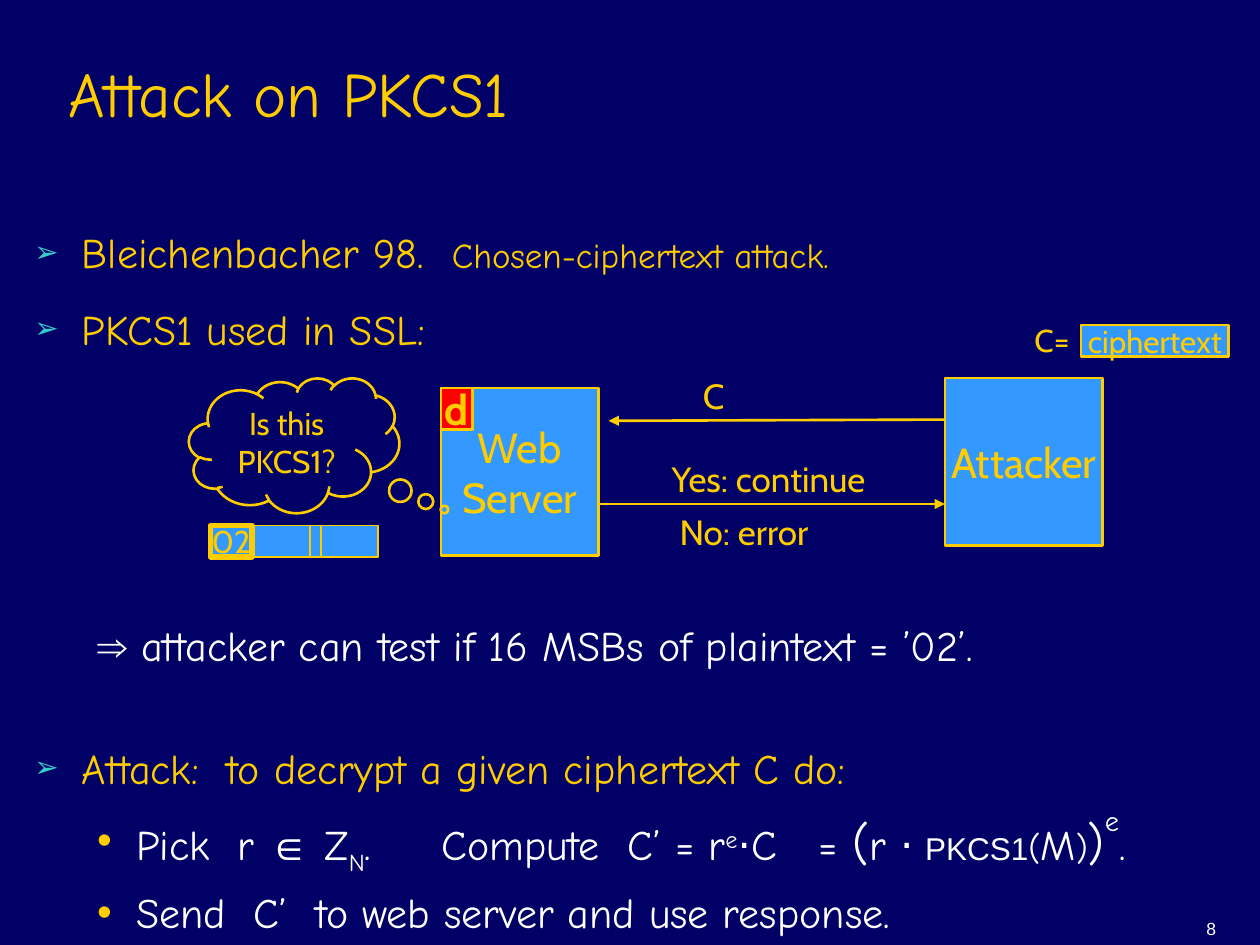
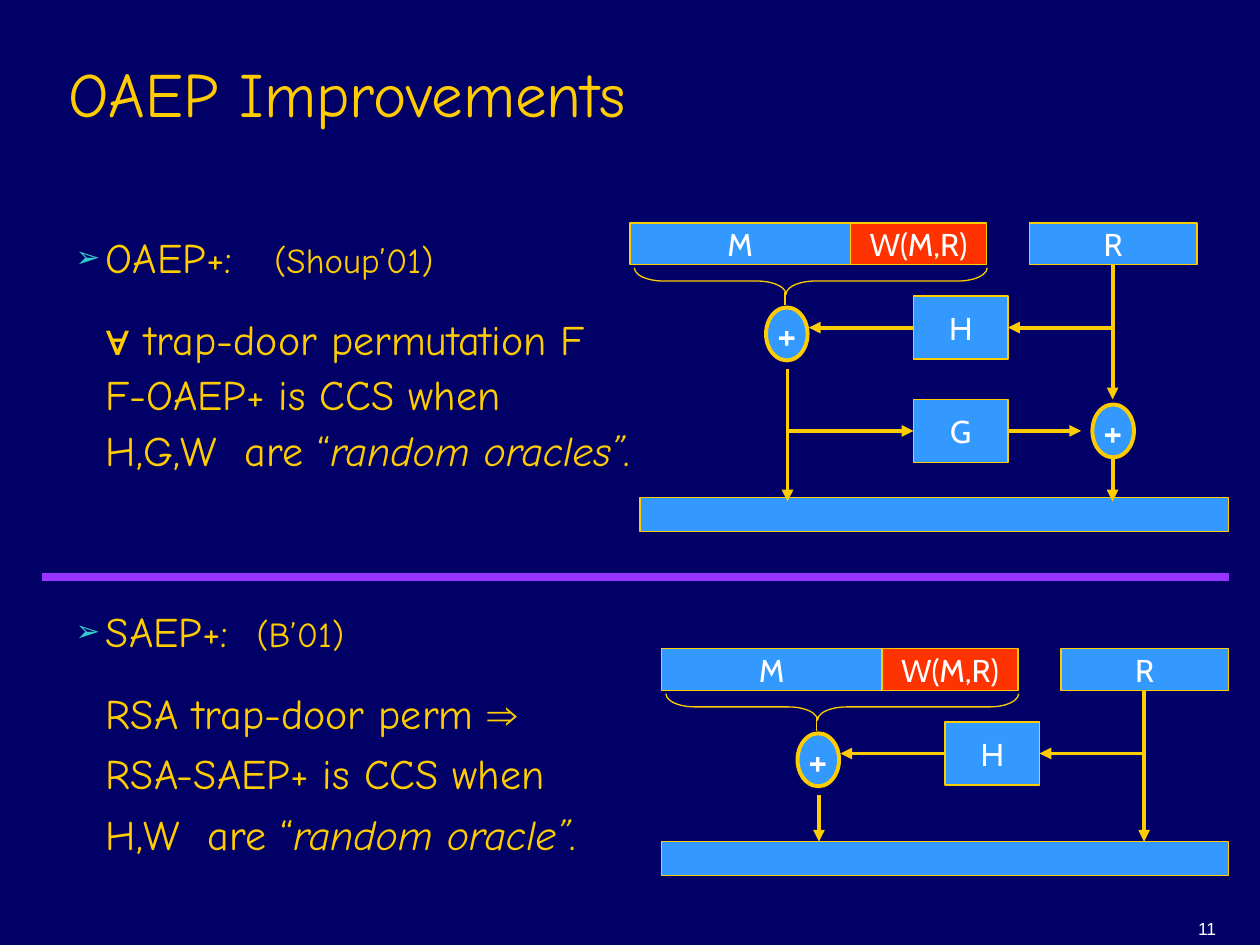
"""Build two slides on the PKCS1 attack and the OAEP improvements."""
from lxml.etree import SubElement
from pptx import Presentation
from pptx.dml.color import RGBColor
from pptx.enum.shapes import MSO_CONNECTOR as Connector, MSO_SHAPE as Shape
from pptx.enum.text import MSO_ANCHOR as Anchor, MSO_AUTO_SIZE as AutoSize, PP_ALIGN as Align
from pptx.oxml.ns import qn
from pptx.util import Inches, Pt

from_hex = RGBColor.from_string
NAVY, GOLD, BLUE, WHITE = "000066", "FFCC00", "3399FF", "FFFFFF"
RED, ORANGE, PURPLE, TEAL = "FF0000", "FF3300", "9933FF", "33CCCC"
HAND, SANS, PLAIN = "Comic Neue", "Cabin", "Arial"
BREAK = "\v"
SPACE_WIDTH = 8


def write(para, parts, color, **style):
    """Add spans; a number widens one space by that many further spaces."""
    for part in parts:
        if part == BREAK:
            para.add_line_break()
            SubElement(para._p[-1], qn("a:rPr"), sz=str(style["size"] * 100))
            continue
        text, changes = part if isinstance(part, tuple) else (part, {})
        span = para.add_run()
        span.text = " " if isinstance(text, int) else text
        span.font.color.rgb = from_hex(color)
        for name, value in {**style, **changes}.items():
            if name == "baseline":
                span._r.get_or_add_rPr().set("baseline", str(value * 1000))
            else:
                setattr(span.font, name, Pt(value) if name == "size" else value)
        if isinstance(text, int):
            span._r.get_or_add_rPr().set("spc", str(text * SPACE_WIDTH * 100))


def draw(page, kind, at, parts=(), fill=None, width=0.75, size=18, color=GOLD, bold=False):
    """Add a preset shape, or a text box when kind is None, with centred text."""
    place = [Inches(value) for value in at]
    if kind is None:
        box = page.shapes.add_textbox(*place)
    else:
        box = page.shapes.add_shape(kind, *place)
        box.shadow.inherit = False
        box.line.color.rgb = from_hex(GOLD)
        box.line.width = Pt(width)
        if fill:
            box.fill.solid()
            box.fill.fore_color.rgb = from_hex(fill)
        else:
            box.fill.background()
    frame = box.text_frame
    frame.word_wrap = False
    frame.vertical_anchor = Anchor.MIDDLE if kind else Anchor.TOP
    frame.paragraphs[0].alignment = Align.CENTER
    write(frame.paragraphs[0], parts, color, name=SANS, size=size, bold=bold)
    return box


deck = Presentation()
deck.slide_width, deck.slide_height = Inches(10), Inches(7.5)
background = deck.slide_master.background.fill
background.solid()
background.fore_color.rgb = from_hex(NAVY)

arial = {"name": PLAIN}
small = {"size": 20}
large = {"size": 28}
italic = {"italic": True}
main_item = {"margin": 0.38, "indent": -0.38, "bullet": "➢"}
sub_item = {"margin": 0.81, "indent": -0.31, "bullet": "•", "color": WHITE}
conclusion = {"margin": 0.81, "indent": -0.31, "color": WHITE, "spacing": 0.9}
scheme = {"margin": 0.24, "indent": -0.24, "bullet": "➢"}
claim = {"margin": 0.24, "indent": 0}

attack_items = [
    (main_item, 0, ["Bleichenbacher 98.", 1, ("Chosen-ciphertext attack.", small)]),
    (main_item, 15, ["PKCS1 used in SSL:"]),
    (conclusion, 155, [("⇒", arial), " attacker can test if 16 MSBs of plaintext = ’02’."]),
    (main_item, 41, ["Attack:", 1, "to decrypt a given ciphertext C do:"]),
    (sub_item, 6, ["Pick", 1, "r ", ("∈", arial), " Z", ("N", {"baseline": -25}), ".", 4,
                   "Compute", 1, "C’ = r", ("e", {"baseline": 30}), ("⋅", arial), "C", 2, "= ",
                   ("(", large), "r ", ("⋅ ", arial), ("PKCS1", {"name": PLAIN, "size": 18}),
                   ("(", small), "M", (")", small), (")", large),
                   ("e", {"size": 28, "baseline": 60}), "."]),
    (sub_item, 6, ["Send", 1, "C’", 1, "to web server and use response."]),
]
improvement_items = [
    ({**scheme, "spacing": 1.1}, 0, ["OAEP+:", 2, ("(Shoup’01)", small)]),
    ({**claim, "spacing": 1.1}, 15,
     [("∀", arial), " trap-door permutation F", BREAK, "F-OAEP+ is CCS when", BREAK,
      "H,G,W", 1, "are “", ("random oracles”", italic), "."]),
    (scheme, 75, ["SAEP+:", 1, ("(B’01)", small)]),
    ({**claim, "spacing": 1.2}, 12,
     ["RSA trap-door perm ", ("⇒", arial), BREAK, "RSA-SAEP+ is CCS when", BREAK,
      "H,W", 1, "are “", ("random oracle”", italic), "."]),
]
contents = [
    ("Attack on PKCS1", (0.17, 1.75, 9.83, 5.75), attack_items, "8"),
    ("OAEP Improvements", (0.5, 1.75, 9.25, 5.25), improvement_items, "11"),
]

pages = []
for heading, body_place, items, number in contents:
    page = deck.slides.add_slide(deck.slide_layouts[1])
    pages.append(page)
    title, body = page.placeholders
    for holder, place in ((title, (0.44, 0.25, 8.5, 0.83)), (body, body_place)):
        holder.left, holder.top, holder.width, holder.height = [Inches(v) for v in place]
        holder.text_frame.auto_size = AutoSize.NONE
        holder.text_frame.word_wrap = True
    title.text_frame.vertical_anchor = Anchor.BOTTOM
    title.text_frame.paragraphs[0].alignment = Align.LEFT
    write(title.text_frame.paragraphs[0], [heading], GOLD, name=HAND, size=36)

    for index, (look, before, parts) in enumerate(items):
        para = body.text_frame.add_paragraph() if index else body.text_frame.paragraphs[0]
        para.space_before = Pt(before)
        para.line_spacing = look.get("spacing", 1.0)
        properties = para._p.get_or_add_pPr()
        properties.set("marL", str(Inches(look["margin"])))
        properties.set("indent", str(Inches(look["indent"])))
        bullet = look.get("bullet")
        if bullet:
            tint, percent = (TEAL, 70) if bullet == "➢" else (GOLD, 100)
            SubElement(SubElement(properties, qn("a:buClr")), qn("a:srgbClr"), val=tint)
            SubElement(properties, qn("a:buSzPct"), val=str(percent * 1000))
            SubElement(properties, qn("a:buChar"), char=bullet)
        else:
            SubElement(properties, qn("a:buNone"))
        write(para, parts, look.get("color", GOLD), name=HAND, size=24)

    footer = page.shapes.add_textbox(Inches(7.67), Inches(7), Inches(2.08), Inches(0.5)).text_frame
    footer.word_wrap = True
    footer.vertical_anchor = Anchor.BOTTOM
    footer.paragraphs[0].alignment = Align.RIGHT
    write(footer.paragraphs[0], [number], WHITE, name=PLAIN, size=10)

attack, improvements = pages
arrows = [
    (attack, 7.5, 3.33, 4.83, 3.34, 1.5),
    (attack, 4.75, 4, 7.5, 4, 1.5),
]
plain_lines = [(improvements, 0.33, 4.58, 9.75, 4.58, 4.5, PURPLE)]

for at, parts, fill, size, bold in [
    ((7.5, 3, 1.25, 1.33), ["Attacker"], BLUE, 24, False),
    ((3.5, 3.08, 1.25, 1.33), ["Web", BREAK, "Server"], BLUE, 24, False),
    ((3.5, 3.08, 0.25, 0.33), ["d"], RED, 24, True),
    ((8.58, 2.58, 1.17, 0.25), ["ciphertext"], BLUE, 18, False),
]:
    draw(attack, Shape.RECTANGLE, at, parts, fill, 1.5, size, bold=bold)

cloud = draw(attack, Shape.CLOUD_CALLOUT, (1.5, 3, 1.67, 1.07),
             ["Is this", BREAK, "PKCS1?"], width=1.5)
cloud.text_frame.word_wrap = True
cloud.adjustments[0], cloud.adjustments[1] = 0.714, 0.476

for at, label, size in [
    ((8.1, 2.5, 0.5, 0.4), "C=", 18),
    ((5.48, 2.92, 0.37, 0.44), "C", 20),
    ((5.13, 3.58, 1.94, 0.44), "Yes: continue", 20),
    ((5.21, 4, 1.39, 0.44), "No: error", 20),
]:
    draw(attack, None, at, [label], size=size)

for left, width in [(1.94, 0.88), (2.46, 0.14), (2.55, 0.45)]:
    draw(attack, Shape.RECTANGLE, (left, 4.17, width, 0.25), fill=BLUE, width=1)
draw(attack, Shape.RECTANGLE, (1.67, 4.17, 0.33, 0.25), ["02"], BLUE, 3)

for left, top, bar_left, bar_top, random_end, message_end in [
    (5, 1.77, 5.08, 3.95, 3.17, 3.98),
    (5.25, 5.15, 5.25, 6.68, 6.68, 6.68),
]:
    for x, y, width, height, label, fill in [
        (3.17, 0, 1.33, 0.33, "R", BLUE),
        (2.25, 0.58, 0.75, 0.5, "H", BLUE),
        (0, 0, 1.75, 0.33, "M", BLUE),
        (1.75, 0, 1.08, 0.33, "W(M,R)", ORANGE),
    ]:
        draw(improvements, Shape.RECTANGLE, (left + x, top + y, width, height),
             [label], fill, color=WHITE)
    draw(improvements, Shape.OVAL, (left + 1.08, top + 0.67, 0.33, 0.42),
         ["+"], BLUE, 2.25, 24, WHITE)
    draw(improvements, Shape.RECTANGLE, (bar_left, bar_top, 9.75 - bar_left, 0.27), fill=BLUE)
    brace = draw(improvements, Shape.LEFT_BRACE, (left + 1.33, top - 0.94, 0.21, 2.8))
    brace.rotation = 270
    brace.adjustments[0], brace.adjustments[1] = 1.1, 0.43
    middle = top + 0.83
    arrows += [
        (improvements, left + 3.83, top + 0.33, left + 3.83, random_end, 2.25),
        (improvements, left + 2.25, middle, left + 1.42, middle, 2.25),
        (improvements, left + 3.83, middle, left + 3, middle, 2.25),
        (improvements, left + 1.25, top + 1.16, left + 1.25, message_end, 2.25),
    ]
    plain_lines.append((improvements, left + 1.23, top + 0.55, left + 1.23, top + 0.65, 0.75, GOLD))

draw(improvements, Shape.RECTANGLE, (7.25, 3.17, 0.75, 0.5), ["G"], BLUE, color=WHITE)
draw(improvements, Shape.OVAL, (8.67, 3.21, 0.33, 0.42), ["+"], BLUE, 2.25, 24, WHITE)
arrows += [
    (improvements, 8, 3.42, 8.58, 3.42, 2.25),
    (improvements, 6.25, 3.42, 7.25, 3.42, 2.25),
    (improvements, 8.83, 3.63, 8.83, 3.98, 2.25),
]

for page, *ends, width, color, head in (
    [(*arrow, GOLD, True) for arrow in arrows] + [(*line, False) for line in plain_lines]
):
    link = page.shapes.add_connector(Connector.STRAIGHT, *[Inches(end) for end in ends])
    link.line.color.rgb = from_hex(color)
    link.line.width = Pt(width)
    if head:
        SubElement(link.line._get_or_add_ln(), qn("a:tailEnd"), type="triangle")
    SubElement(link._element.spPr, qn("a:effectLst"))

deck.save("out.pptx")
